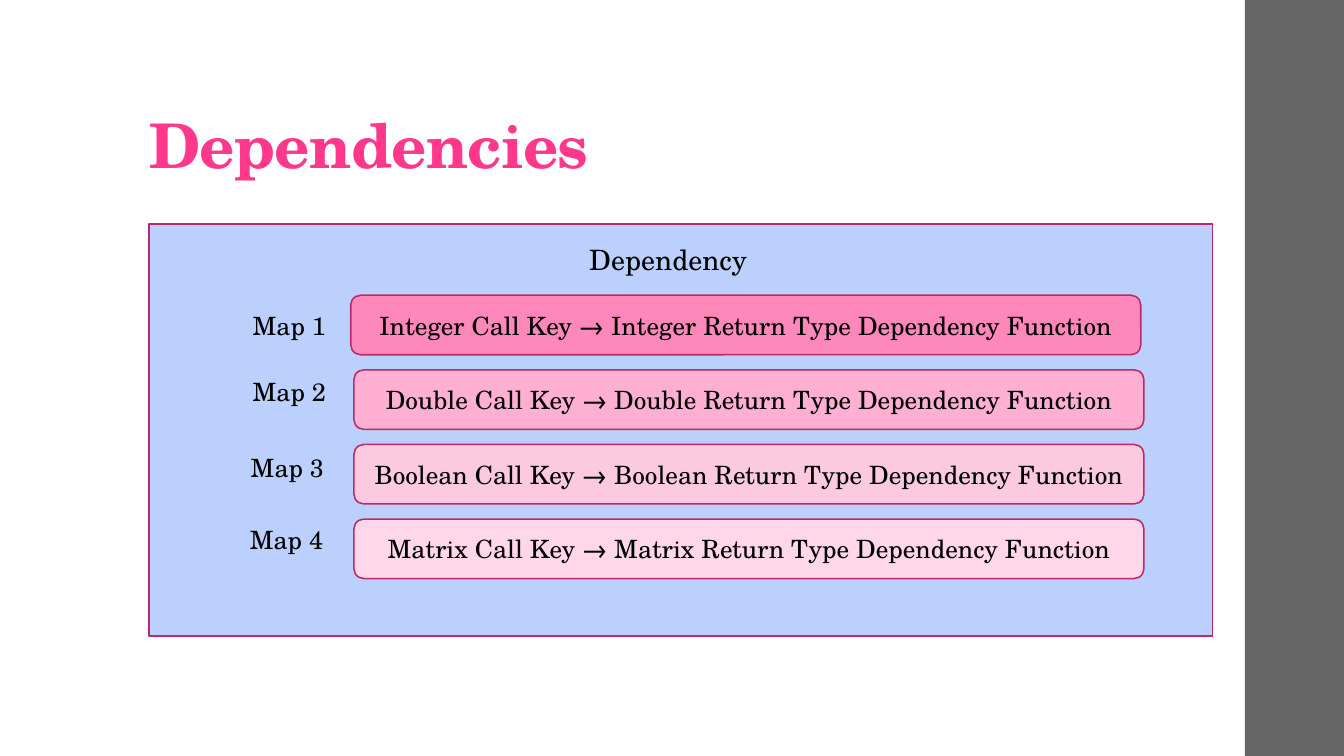
from dataclasses import dataclass

from pptx import Presentation
from pptx.dml.color import RGBColor
from pptx.enum.shapes import MSO_SHAPE
from pptx.enum.text import MSO_ANCHOR, MSO_AUTO_SIZE, PP_ALIGN
from pptx.util import Cm, Pt

RECT = MSO_SHAPE.RECTANGLE
ROUNDED = MSO_SHAPE.ROUNDED_RECTANGLE
LEFT, CENTER = PP_ALIGN.LEFT, PP_ALIGN.CENTER
MIDDLE, BOTTOM = MSO_ANCHOR.MIDDLE, MSO_ANCHOR.BOTTOM
NO_FIT, GROW = MSO_AUTO_SIZE.NONE, MSO_AUTO_SIZE.SHAPE_TO_FIT_TEXT

FONT = "TeX Gyre Schola"
COLORS = {
    "title": "FF388C",
    "text": "000000",
    "sidebar": "666666",
    "panel": "BBD0FC",
    "outline": "BD2968",
    "integer": "FF88BA",
    "double": "FFAFD1",
    "boolean": "FCCADE",
    "matrix": "FFD7E8",
}
FIRST_TOP, ROW_PITCH = 7.44, 1.88


@dataclass(frozen=True)
class Box:
    left: float
    top: float
    width: float
    height: float

    def emu(self) -> tuple[Cm, Cm, Cm, Cm]:
        return Cm(self.left), Cm(self.top), Cm(self.width), Cm(self.height)


@dataclass(frozen=True)
class MapRow:
    kind: str
    box_left: float
    label_left: float
    label_top: float


ROWS = [
    MapRow("Integer", 8.84, 6.12, 7.7),
    MapRow("Double", 8.92, 6.12, 9.37),
    MapRow("Boolean", 8.92, 6.07, 11.28),
    MapRow("Matrix", 8.92, 6.05, 13.08),
]


def rgb(name: str) -> RGBColor:
    return RGBColor.from_string(COLORS[name])


def write(tf, text: str, size: float, color: str = "text", align=LEFT) -> None:
    tf.text = text
    p = tf.paragraphs[0]
    p.alignment = align
    font = p.runs[0].font
    font.name = FONT
    font.size = Pt(size)
    font.color.rgb = rgb(color)


def add_box(s, preset, box: Box, fill: str, outlined: bool = True):
    sp = s.shapes.add_shape(preset, *box.emu())
    sp.shadow.inherit = False
    sp.fill.solid()
    sp.fill.fore_color.rgb = rgb(fill)
    if outlined:
        sp.line.color.rgb = rgb("outline")
        sp.line.width = Pt(1.1)
    else:
        sp.line.fill.background()
    return sp


def add_label(s, box: Box, text: str, size: float) -> None:
    tf = s.shapes.add_textbox(*box.emu()).text_frame
    tf.word_wrap = True
    tf.auto_size = GROW
    write(tf, text, size)


def set_title(s, text: str) -> None:
    title = s.shapes.title
    title.left, title.top, title.width, title.height = Box(3.51, 0.74, 26.92, 3.96).emu()
    tf = title.text_frame
    tf.auto_size = NO_FIT
    tf.vertical_anchor = BOTTOM
    tf.margin_left = tf.margin_right = Cm(0.25)
    tf.margin_top, tf.margin_bottom = Cm(0.08), Cm(0.13)
    write(tf, text, 44, "title")
    p = tf.paragraphs[0]
    p.line_spacing = 0.9
    r = p.runs[0]
    r.font.bold = True
    r.font._element.set("spc", "-50")


def add_map_row(s, index: int, row: MapRow) -> None:
    box = Box(row.box_left, FIRST_TOP + index * ROW_PITCH, 19.91, 1.5)
    tf = add_box(s, ROUNDED, box, row.kind.lower()).text_frame
    tf.word_wrap = True
    tf.vertical_anchor = MIDDLE
    text = f"{row.kind} Call Key → {row.kind} Return Type Dependency Function"
    write(tf, text, 18, align=CENTER)
    add_label(s, Box(row.label_left, row.label_top, 2.79, 1.02), f"Map {index + 1}", 18)


def main() -> None:
    prs = Presentation()
    prs.slide_width, prs.slide_height = Cm(33.87), Cm(19.05)
    s = prs.slides.add_slide(prs.slide_layouts[5])
    set_title(s, "Dependencies")
    add_box(s, RECT, Box(31.37, 0, 2.5, 19.05), "sidebar", outlined=False)
    add_box(s, RECT, Box(3.76, 5.64, 26.8, 10.39), "panel")
    for index, row in enumerate(ROWS):
        add_map_row(s, index, row)
    add_label(s, Box(14.6, 5.99, 5.13, 1.12), "Dependency", 20)
    prs.save("out.pptx")


if __name__ == "__main__":
    main()
